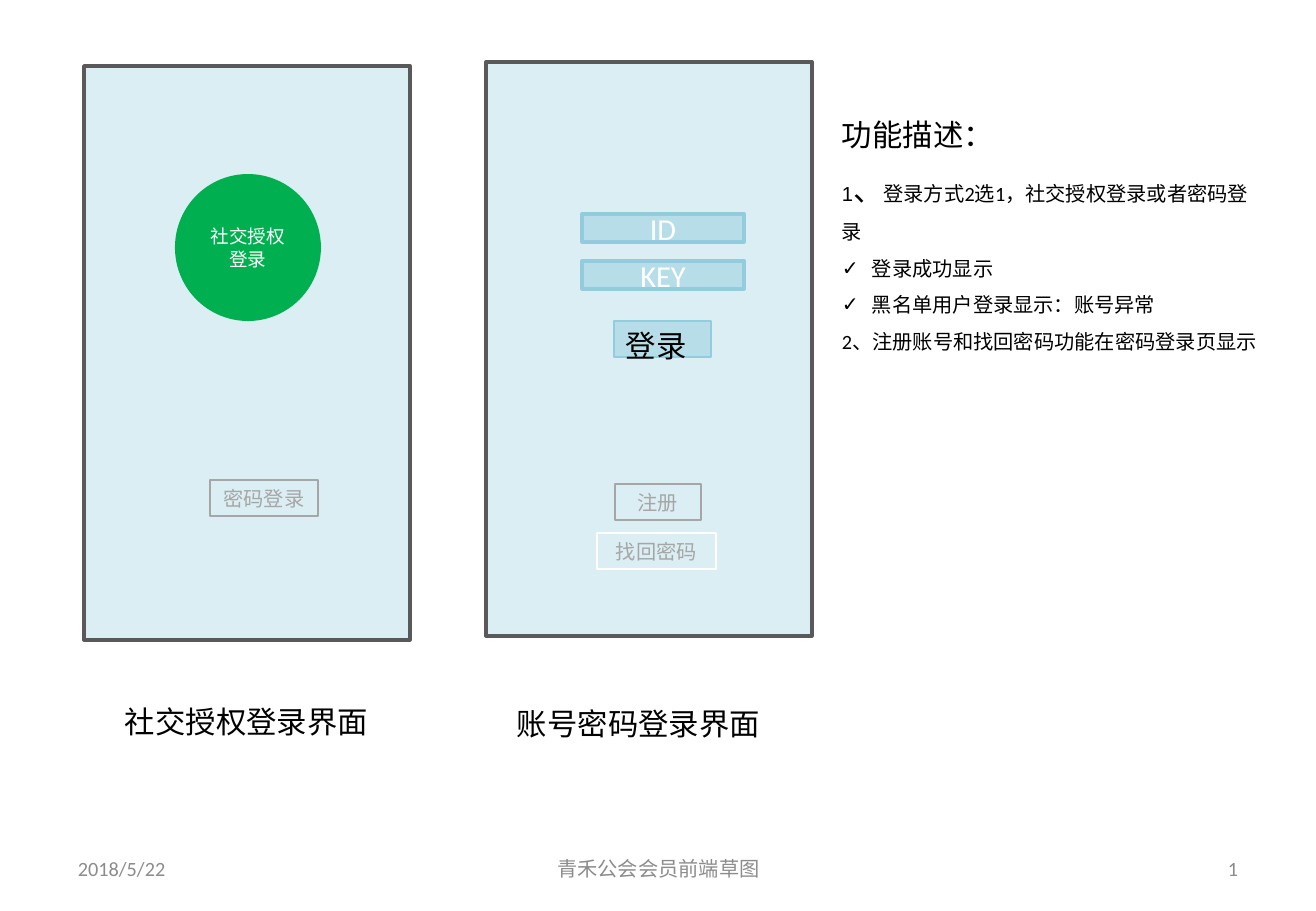
from lxml.etree import SubElement
from pptx import Presentation
from pptx.dml.color import RGBColor
from pptx.enum.shapes import MSO_SHAPE as Shape
from pptx.enum.text import MSO_ANCHOR as Anchor, PP_ALIGN as Align
from pptx.oxml.ns import qn
from pptx.util import Emu, Pt

PX = 914400 / 121.5
BLACK = RGBColor(0x00, 0x00, 0x00)
WHITE = RGBColor(0xFF, 0xFF, 0xFF)
FRAME = RGBColor(0x59, 0x59, 0x59)
SCREEN = RGBColor(0xDB, 0xEE, 0xF4)
FIELD = RGBColor(0xB7, 0xDE, 0xE8)
FIELD_EDGE = RGBColor(0x93, 0xCD, 0xDD)
MUTED = RGBColor(0xA6, 0xA6, 0xA6)
FOOTER = RGBColor(0x8C, 0x8C, 0x8C)
GREEN = RGBColor(0x00, 0xB0, 0x50)


def px(*lengths):
    """Turn pixel lengths into EMU."""
    return [Emu(round(length * PX)) for length in lengths]


def style(run, size, color=BLACK, font="Calibri"):
    """Set the size, colour and font of a run."""
    run.font.size = Pt(size)
    run.font.color.rgb = color
    run.font.name = font


def write(holder, text, size, color, align=Align.LEFT, anchor=Anchor.TOP):
    """Put one formatted paragraph into a shape or text box."""
    frame = holder.text_frame
    frame.text = text
    frame.word_wrap = True
    frame.vertical_anchor = anchor
    paragraph = frame.paragraphs[0]
    paragraph.alignment = align
    style(paragraph.runs[0], size, color)


def block(slide, box, fill=None, edge=None, weight=0.75, kind=Shape.RECTANGLE):
    """Draw a preset shape; a missing fill or edge stays empty."""
    shape = slide.shapes.add_shape(kind, *px(*box))
    shape.shadow.inherit = False
    if fill is None:
        shape.fill.background()
    else:
        shape.fill.solid()
        shape.fill.fore_color.rgb = fill
    if edge is None:
        shape.line.fill.background()
    else:
        shape.line.color.rgb = edge
        shape.line.width = Pt(weight)
    return shape


def label(slide, box, text, size, color, **layout):
    """Add a text box with one line of text."""
    write(slide.shapes.add_textbox(*px(*box)), text, size, color, **layout)


def outline_button(slide, box, text, edge=MUTED):
    """Draw an unfilled button with a grey caption."""
    write(block(slide, box, edge=edge), text, 12, MUTED, Align.CENTER)


def phone(slide, box):
    """Draw the empty phone screen."""
    block(slide, box, SCREEN, FRAME, 2)


def authorised_login(slide, box):
    """Draw the screen for login by authorisation, with its caption."""
    left, top, _, _ = box
    phone(slide, box)
    circle = block(slide, (left + 91, top + 108, 146, 147), GREEN, kind=Shape.OVAL)
    write(circle, "社交授权登录", 11, WHITE, Align.CENTER, Anchor.MIDDLE)
    outline_button(slide, (left + 126, top + 414, 108, 36), "密码登录")
    label(slide, (left + 29, top + 631, 288, 49), "社交授权登录界面", 18, BLACK)


def password_login(slide, box):
    """Draw the screen for login by account and password, with its caption."""
    left, top, _, _ = box
    phone(slide, box)
    for row, name in enumerate(("ID", "KEY")):
        field = block(slide, (left + 96, top + 152 + 47 * row, 162, 28),
                      FIELD, FIELD_EDGE, 2)
        write(field, name, 18, WHITE, Align.CENTER, Anchor.MIDDLE)
    login = block(slide, (left + 128, top + 259, 97, 36), FIELD, FIELD_EDGE)
    write(login, "登录", 18, BLACK)
    outline_button(slide, (left + 129, top + 422, 86, 36), "注册")
    outline_button(slide, (left + 111, top + 471, 119, 36), "找回密码", WHITE)
    label(slide, (left + 19, top + 637, 288, 49), "账号密码登录界面", 18, BLACK)


def add_check(paragraph):
    """Give a paragraph a hanging check mark."""
    properties = paragraph._p.get_or_add_pPr()
    indent = px(30)[0]
    properties.set("marL", str(indent))
    properties.set("indent", str(-indent))
    SubElement(properties, qn("a:buFont")).set("typeface", "Arial")
    SubElement(properties, qn("a:buChar")).set("char", "✓")


def description(slide, box):
    """Write the feature description beside the screens."""
    frame = slide.shapes.add_textbox(*px(*box)).text_frame
    frame.word_wrap = True
    intro = frame.paragraphs[0]
    intro.text = "功能描述：\v1"
    heading, number = intro.runs
    style(heading, 18)
    style(number, 12, font="Arial")
    for text, size in (("、", 18),
                       ("登录方式2选1，社交授权登录或者密码登录", 12)):
        run = intro.add_run()
        run.text = text
        style(run, size)
    intro.line_spacing = 1.5
    for text, checked in (("登录成功显示", True),
                          ("黑名单用户登录显示：账号异常", True),
                          ("2、注册账号和找回密码功能在密码登录页显示", False)):
        paragraph = frame.add_paragraph()
        paragraph.text = text
        paragraph.line_spacing = 1.5
        style(paragraph.runs[0], 12)
        if checked:
            add_check(paragraph)


def footer(slide, box):
    """Write the date, the draft's name and the page number."""
    left, top, width, height = box
    side = 307
    for text, offset, span, align in (
            ("2018/5/22", 0, side, Align.LEFT),
            ("青禾公会会员前端草图", 384, 417, Align.CENTER),
            ("1", width - side, side, Align.RIGHT)):
        label(slide, (left + offset, top, span, height), text, 12, FOOTER,
              align=align, anchor=Anchor.MIDDLE)


presentation = Presentation()
presentation.slide_width, presentation.slide_height = px(1316, 911)
login_slide = presentation.slides.add_slide(presentation.slide_layouts[6])
authorised_login(login_slide, (84, 66, 326, 574))
password_login(login_slide, (486, 62, 326, 574))
description(login_slide, (830, 92, 448, 344))
footer(login_slide, (66, 844, 1184, 49))
presentation.save("out.pptx")
